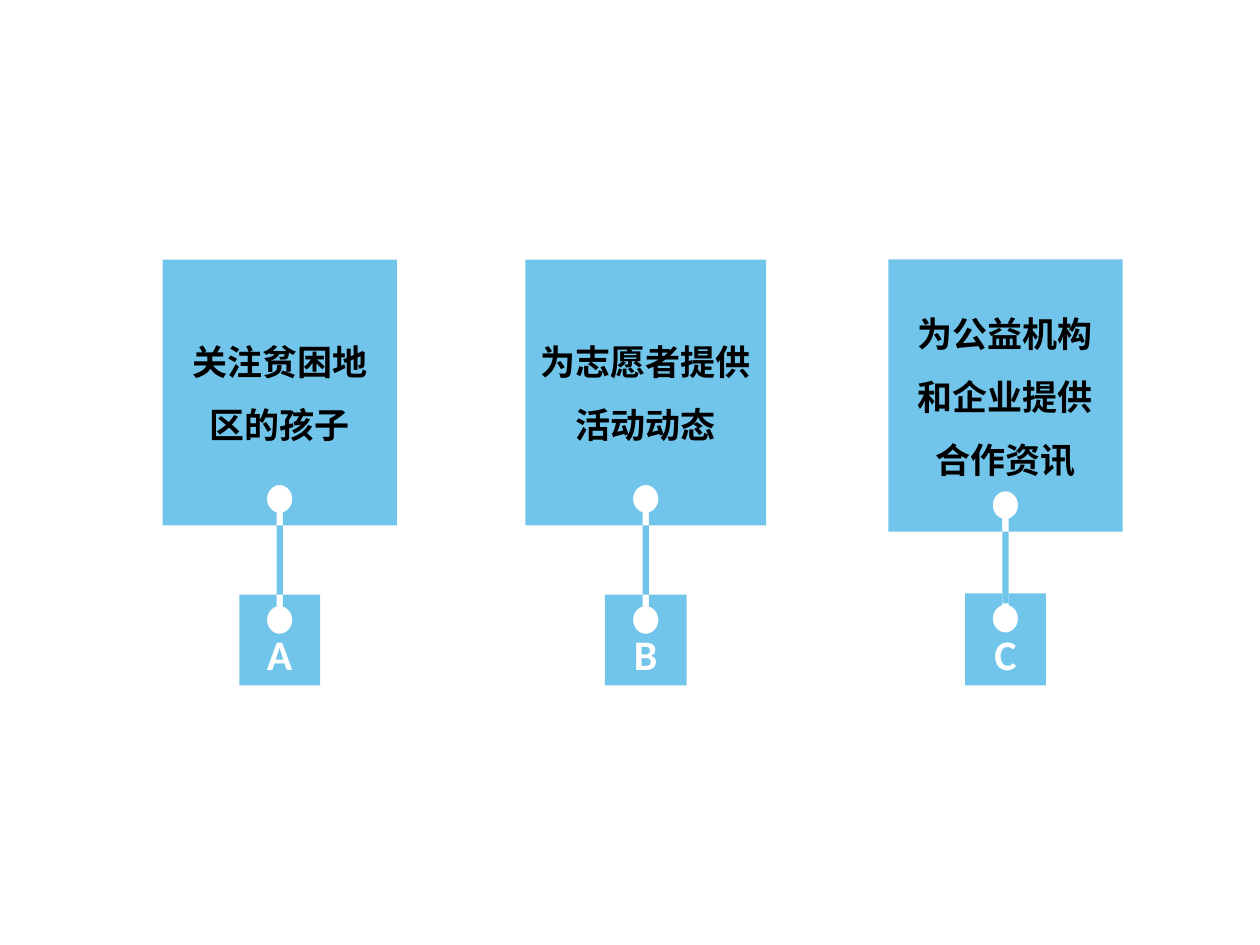
import math
from dataclasses import dataclass

import pptx
import pptx.dml.color
import pptx.enum.shapes
import pptx.enum.text
import pptx.oxml.ns
import pptx.util
from lxml import etree

Inches = pptx.util.Inches
ANCHOR = pptx.enum.text.MSO_ANCHOR


@dataclass(frozen=True)
class Theme:
    """Colours, fonts and type sizes."""
    blue: str = "72C5EA"
    black: str = "000000"
    white: str = "FFFFFF"
    card_font: str = "Noto Sans CJK SC"
    tag_font: str = "Calibri"
    card_size: int = 20
    tag_size: int = 24


THEME = Theme()
COLUMN_LEFT, COLUMN_PITCH = 1.29, 2.88
CARD_TOP, TAG_BOTTOM = 2.06, 5.44
SLOT_WIDTH, HOLE_RX, HOLE_RY = 0.05, 0.1, 0.11

# card text, letter, card width, card bottom, tag width, tag top, stem bottom
COLUMNS = [
    ("关注贫困地区的孩子", "A", 1.86, 4.17, 0.64, 4.72, 4.72),
    ("为志愿者提供活动动态", "B", 1.91, 4.17, 0.65, 4.72, 4.72),
    ("为公益机构和企业提供合作资讯", "C", 1.86, 4.22, 0.64, 4.71, 4.79),
]


def paint(sp):
    """Give a shape the flat blue fill without outline or shadow."""
    sp.fill.solid()
    sp.fill.fore_color.rgb = pptx.dml.color.RGBColor.from_string(THEME.blue)
    sp.line.fill.background()
    sp.shadow.inherit = False


def add_keyhole_block(shapes, cx, edge, far, width, depth):
    """Draw a block with a keyhole cut into the middle of one edge."""
    sign = 1 if edge > far else -1
    half, slot = sign * width / 2, sign * SLOT_WIDTH / 2
    hole_y = edge - sign * depth
    start = math.asin(SLOT_WIDTH / 2 / HOLE_RX)
    steps = 40
    angles = [start + (2 * math.pi - 2 * start) * i / steps
              for i in range(steps + 1)]
    hole = [(cx + sign * HOLE_RX * math.sin(a),
             hole_y + sign * HOLE_RY * math.cos(a)) for a in angles]
    outline = [(cx + half, edge), (cx + slot, edge), *hole,
               (cx - slot, edge), (cx - half, edge),
               (cx - half, far), (cx + half, far)]
    points = [(Inches(x), Inches(y)) for x, y in outline]
    builder = shapes.build_freeform(*points[0])
    builder.add_line_segments(points[1:], close=True)
    sp = builder.convert_to_shape()
    paint(sp)
    return sp


def set_label(sp, text, font, size, color, anchor):
    """Write a centred bold label into a shape."""
    tf = sp.text_frame
    tf.word_wrap = True
    tf.vertical_anchor = anchor
    p = tf.paragraphs[0]
    p.text = text
    p.alignment = pptx.enum.text.PP_ALIGN.CENTER
    r = p.runs[0]
    r.font.name, r.font.size, r.font.bold = font, pptx.util.Pt(size), True
    r.font.color.rgb = pptx.dml.color.RGBColor.from_string(color)
    ea = etree.SubElement(r.font._element, pptx.oxml.ns.qn("a:ea"))
    ea.set("typeface", font)
    return tf


def add_stem(shapes, cx, top, bottom):
    """Draw the bar that joins a card to its tag."""
    sp = shapes.add_shape(
        pptx.enum.shapes.MSO_SHAPE.RECTANGLE, Inches(cx - SLOT_WIDTH / 2),
        Inches(top), Inches(SLOT_WIDTH), Inches(bottom - top))
    paint(sp)


def add_column(slide, index, text, letter, card_width, card_bottom,
               tag_width, tag_top, stem_bottom):
    """Build one group of tag, card and stem."""
    shapes = slide.shapes.add_group_shape().shapes
    cx = COLUMN_LEFT + index * COLUMN_PITCH + card_width / 2
    tag = add_keyhole_block(shapes, cx, tag_top, TAG_BOTTOM, tag_width, 0.2)
    set_label(tag, letter, THEME.tag_font, THEME.tag_size, THEME.white,
              ANCHOR.BOTTOM)
    card = add_keyhole_block(shapes, cx, card_bottom, CARD_TOP, card_width,
                             0.21)
    tf = set_label(card, text, THEME.card_font, THEME.card_size, THEME.black,
                   ANCHOR.MIDDLE)
    tf.margin_bottom = Inches(0.2)
    tf.paragraphs[0].line_spacing = 1.5
    add_stem(shapes, cx, card_bottom, stem_bottom)


def main():
    """Build and save the slide."""
    prs = pptx.Presentation()
    prs.slide_width, prs.slide_height = Inches(10), Inches(7.5)
    slide = prs.slides.add_slide(prs.slide_layouts[6])
    for index, column in enumerate(COLUMNS):
        add_column(slide, index, *column)
    prs.save("out.pptx")


main()
